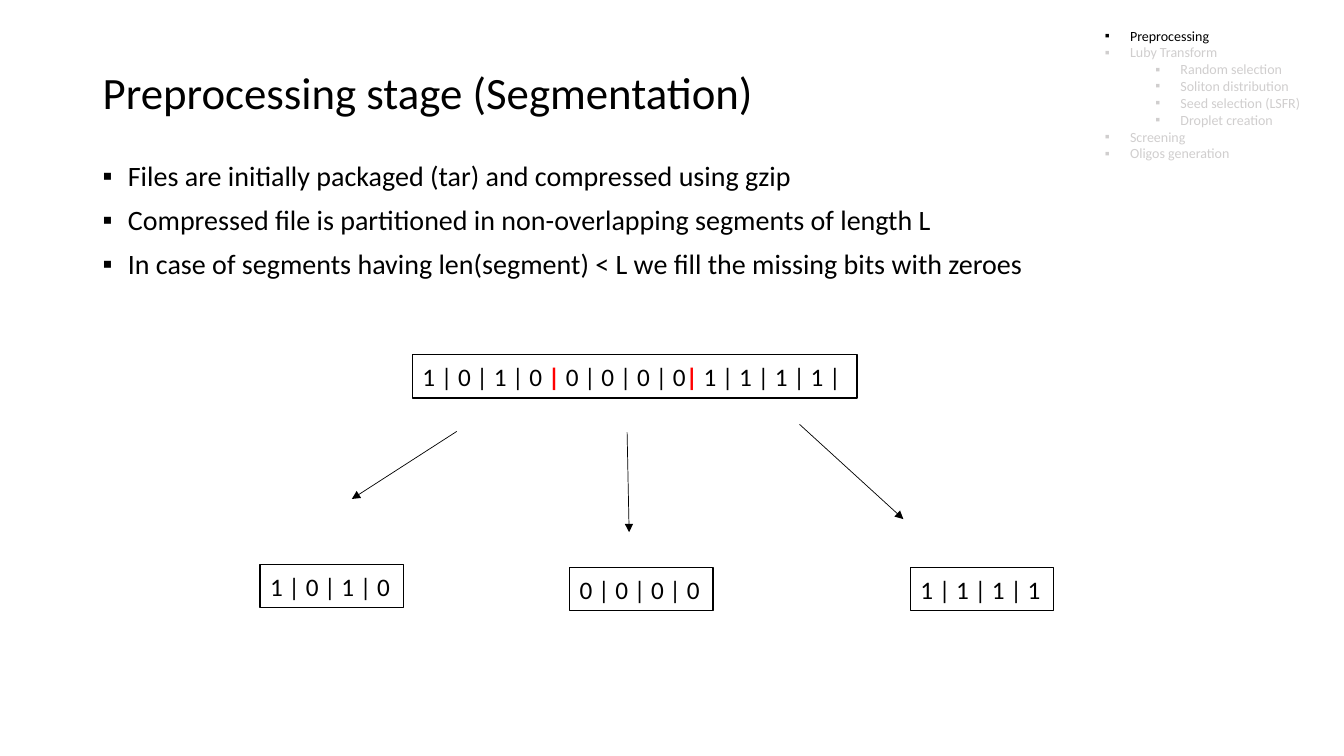
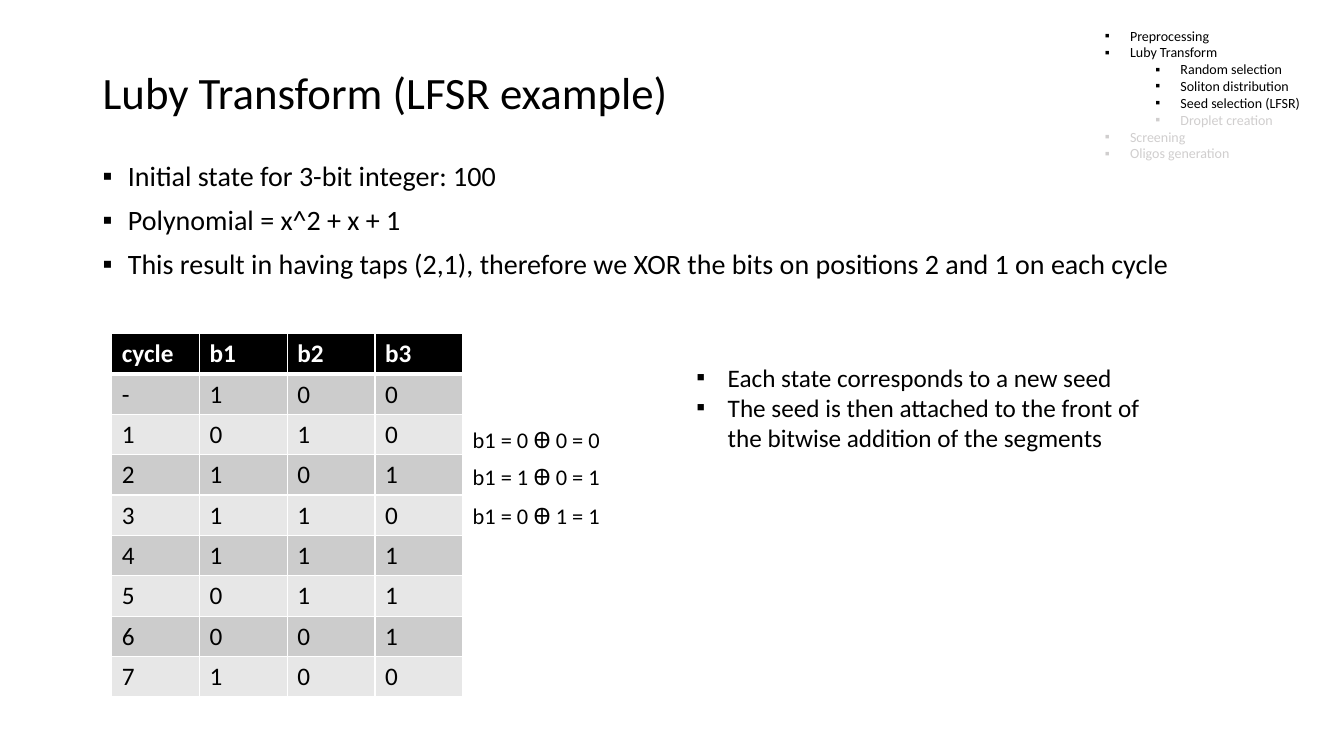
from lxml import etree
from pptx import Presentation
from pptx import util as u
from pptx.dml.color import RGBColor
from pptx.enum import shapes, text
from pptx.oxml import ns

BLACK = RGBColor(0x00, 0x00, 0x00)
WHITE = RGBColor(0xFF, 0xFF, 0xFF)
RED = RGBColor(0xFF, 0x00, 0x00)
MUTED = RGBColor(0xD0, 0xCE, 0xCE)
BAND_DARK = RGBColor(0xCC, 0xCC, 0xCC)
BAND_LIGHT = RGBColor(0xE7, 0xE7, 0xE7)
FONT = "Calibri"

TITLE_BOX = (0.92, 0.22, 11.5, 1.45)
BODY_BOX = (0.92, 1.56, 11.5, 4.76)
OUTLINE_BOX = (10.61, 0.22, 2.61, 1.75)


def add_run(p, content, size, color=BLACK, bold=False):
    r = p.add_run()
    r.text = content
    r.font.name = FONT
    r.font.size = u.Pt(size)
    r.font.bold = bold
    r.font.color.rgb = color


def set_bullet(p, margin, hang):
    pPr = p._p.get_or_add_pPr()
    pPr.set("marL", str(u.Inches(margin)))
    pPr.set("indent", str(-u.Inches(hang)))
    etree.SubElement(pPr, ns.qn("a:buFont")).set("typeface", "Arial")
    etree.SubElement(pPr, ns.qn("a:buChar")).set("char", "▪")


def add_text_frame(s, box):
    tf = s.shapes.add_textbox(*map(u.Inches, box)).text_frame
    tf.word_wrap = True
    return tf


def paragraphs(tf, items):
    for i, item in enumerate(items):
        yield (tf.add_paragraph() if i else tf.paragraphs[0]), item


def add_title(s, box, title):
    tf = add_text_frame(s, box)
    tf.vertical_anchor = text.MSO_ANCHOR.MIDDLE
    p = tf.paragraphs[0]
    p.line_spacing = 0.9
    add_run(p, title, 32)


def add_bullets(s, box, items, size, hang, line=None, before=None):
    for p, item in paragraphs(add_text_frame(s, box), items):
        if line:
            p.line_spacing = line
        if before:
            p.space_before = u.Pt(before)
        set_bullet(p, hang, hang)
        add_run(p, item, size)


def add_outline(s, box, seed_topic, reached):
    topics = [
        (1, "Preprocessing"),
        (1, "Luby Transform"),
        (2, "Random selection"),
        (2, "Soliton distribution"),
        (2, seed_topic),
        (2, "Droplet creation"),
        (1, "Screening"),
        (1, "Oligos generation"),
    ]
    for i, (p, (level, topic)) in enumerate(paragraphs(add_text_frame(s, box), topics)):
        p.level = level
        set_bullet(p, 0.5 * level, 0.25)
        add_run(p, topic, 10, BLACK if i < reached else MUTED)


def add_base(prs, title, items, seed_topic, reached):
    s = prs.slides.add_slide(prs.slide_layouts[6])
    add_title(s, TITLE_BOX, title)
    add_bullets(s, BODY_BOX, items, 20, 0.25, line=0.9, before=10)
    add_outline(s, OUTLINE_BOX, seed_topic, reached)
    return s


def add_bit_box(s, box, runs):
    sp = s.shapes.add_shape(shapes.MSO_SHAPE.RECTANGLE, *map(u.Inches, box))
    sp.shadow.inherit = False
    sp.fill.solid()
    sp.fill.fore_color.rgb = WHITE
    sp.line.color.rgb = BLACK
    sp.line.width = u.Pt(1)
    tf = sp.text_frame
    tf.word_wrap = True
    tf.vertical_anchor = text.MSO_ANCHOR.MIDDLE
    p = tf.paragraphs[0]
    p.alignment = text.PP_ALIGN.LEFT
    for content, is_cut in runs:
        add_run(p, content, 18, RED if is_cut else BLACK, is_cut)


def add_arrow(s, start, end):
    c = s.shapes.add_connector(shapes.MSO_CONNECTOR.STRAIGHT, *map(u.Inches, start + end))
    c.line.color.rgb = BLACK
    c.line.width = u.Pt(0.5)
    etree.SubElement(c.line._get_or_add_ln(), ns.qn("a:tailEnd")).set("type", "triangle")
    etree.SubElement(c._element.spPr, ns.qn("a:effectLst"))


def add_segmentation(s, left, top):
    add_bit_box(s, (left, top, 4.41, 0.43), [
        ("1 | 0 | 1 | 0 ", False),
        ("|", True),
        (" 0 | 0 | 0 | 0", False),
        ("|", True),
        (" 1 | 1 | 1 | 1 |", False),
    ])
    segments = [
        ("1 | 0 | 1 | 0", (-1.51, 2.08), (0.44, 0.76), (-0.6, 1.43)),
        ("0 | 0 | 0 | 0", (1.56, 2.11), (2.13, 0.77), (2.15, 1.76)),
        ("1 | 1 | 1 | 1", (4.94, 2.11), (3.84, 0.69), (4.87, 1.63)),
    ]
    for bits, (dx, dy), start, end in segments:
        add_bit_box(s, (left + dx, top + dy, 1.42, 0.43), [(bits, False)])
        add_arrow(s, (left + start[0], top + start[1]), (left + end[0], top + end[1]))


def set_border(cell, side, width):
    ln = etree.SubElement(cell._tc.get_or_add_tcPr(), ns.qn("a:ln" + side))
    ln.set("w", str(u.Pt(width)))
    fill = etree.SubElement(ln, ns.qn("a:solidFill"))
    etree.SubElement(fill, ns.qn("a:srgbClr")).set("val", str(WHITE))


def add_state_table(s, box, rows):
    frame = s.shapes.add_table(len(rows), len(rows[0]), *map(u.Inches, box))
    table = frame.table
    table.first_row = False
    table.horz_banding = False
    for i, row in enumerate(rows):
        header = i == 0
        band = BAND_DARK if i % 2 else BAND_LIGHT
        for j, value in enumerate(row):
            cell = table.cell(i, j)
            for side, width in (("L", 1), ("R", 1), ("T", 3 if i == 1 else 1), ("B", 3 if header else 1)):
                set_border(cell, side, width)
            cell.fill.solid()
            cell.fill.fore_color.rgb = BLACK if header else band
            add_run(cell.text_frame.paragraphs[0], value, 18, WHITE if header else BLACK, header)


def add_xor_steps(s, left, tops):
    steps = ["b1 = 0 Ꚛ 0 = 0", "b1 = 1 Ꚛ 0 = 1", "b1 = 0 Ꚛ 1 = 1"]
    for top, step in zip(tops, steps):
        tf = add_text_frame(s, (left, top, 3.63, 0.37))
        add_run(tf.paragraphs[0], step, 16)


def segmentation_slide(prs):
    s = add_base(prs, "Preprocessing stage (Segmentation)", [
        "Files are initially packaged (tar) and compressed using gzip",
        "Compressed file is partitioned in non-overlapping segments of length L",
        "In case of segments having len(segment) < L we fill the missing bits with zeroes",
    ], "Seed selection (LSFR)", 1)
    add_segmentation(s, 4.09, 3.52)


def lfsr_slide(prs):
    s = add_base(prs, "Luby Transform (LFSR example)", [
        "Initial state for 3-bit integer: 100",
        "Polynomial = x^2 + x + 1",
        "This result in having taps (2,1), therefore we XOR the bits on positions 2 and 1 on each cycle",
    ], "Seed selection (LFSR)", 5)
    states = ["100", "010", "101", "110", "111", "011", "001", "100"]
    rows = [["cycle", "b1", "b2", "b3"]]
    rows += [[cycle, *bits] for cycle, bits in zip("-1234567", states)]
    add_state_table(s, (1.11, 3.31, 3.48, 3.6), rows)
    add_xor_steps(s, 4.59, (4.18, 4.55, 4.93))
    add_bullets(s, (6.81, 3.54, 4.94, 1.31), [
        "Each state corresponds to a new seed",
        "The seed is then attached to the front of the bitwise addition of the segments",
    ], 18, 0.31)


def main():
    prs = Presentation()
    prs.slide_width = u.Inches(13.33)
    prs.slide_height = u.Inches(7.5)
    segmentation_slide(prs)
    lfsr_slide(prs)
    prs.save("out.pptx")


if __name__ == "__main__":
    main()
